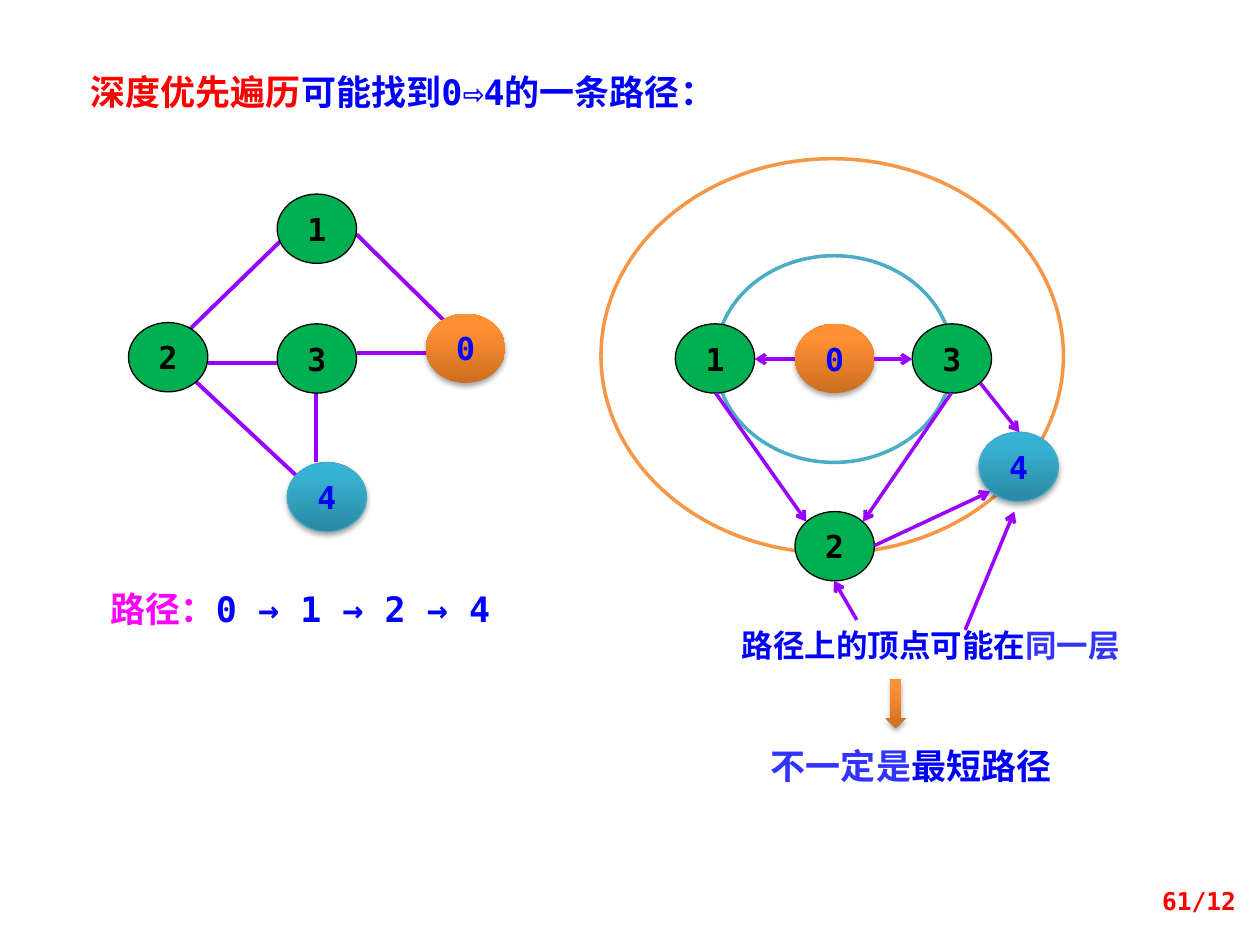
import copy
from dataclasses import dataclass

import pptx
import pptx.dml.color
import pptx.enum.shapes
import pptx.enum.text
import pptx.oxml
import pptx.oxml.ns
import pptx.util

Inches = pptx.util.Inches
Pt = pptx.util.Pt
SHAPE = pptx.enum.shapes.MSO_SHAPE
ALIGN = pptx.enum.text.PP_ALIGN
ANCHOR = pptx.enum.text.MSO_ANCHOR
NODE_WIDTH, NODE_HEIGHT = 0.63, 0.55


@dataclass
class Theme:
    mono: str = "DejaVu Sans Mono"
    chinese: str = "Noto Sans CJK SC"
    conclusion: str = "Noto Sans CJK JP"
    heading_size: float = 20
    label_size: float = 18
    number_size: float = 14
    white: str = "FFFFFF"
    black: str = "000000"
    red: str = "FF0000"
    blue: str = "0000FF"
    soft_blue: str = "3333FF"
    magenta: str = "FF00FF"
    green: str = "00B050"
    edge: str = "9900FF"
    outer_ring: str = "F79646"
    inner_ring: str = "4BACC6"
    target_line: str = "46AAC5"
    orange: tuple = ("CC6E20", "FF9034", "FF9136")
    teal: tuple = ("2A88A2", "37B1D2", "34B4D6")


def rgb(color):
    return pptx.dml.color.RGBColor.from_string(color)


def drawing_xml(body):
    return pptx.oxml.parse_xml(body.replace(">", f" {pptx.oxml.ns.nsdecls('a')}>", 1))


class SlideBuilder:
    def __init__(self, slide, theme):
        self.slide = slide
        self.theme = theme

    def set_text(self, frame, parts, size, align=ALIGN.LEFT, anchor=ANCHOR.TOP,
                 wrap=True, font=None):
        """Fill a frame with one paragraph of (text, colour) parts."""
        frame.word_wrap = wrap
        frame.auto_size = pptx.enum.text.MSO_AUTO_SIZE.NONE
        frame.vertical_anchor = anchor
        para = frame.paragraphs[0]
        para.alignment = align
        for text, color in parts:
            span = para.add_run()
            span.text = text
            span.font.size = Pt(size)
            span.font.bold = True
            span.font.name = font or self.theme.mono
            span.font.color.rgb = rgb(color)
            latin = span.font._element.find(pptx.oxml.ns.qn("a:latin"))
            latin.addnext(drawing_xml(f'<a:ea typeface="{self.theme.chinese}"></a:ea>'))

    def title(self, left, top, width, height, parts):
        box = self.slide.shapes.title
        box.left, box.top = Inches(left), Inches(top)
        box.width, box.height = Inches(width), Inches(height)
        self.set_text(box.text_frame, parts, self.theme.heading_size)

    def text(self, left, top, width, height, parts, size, **style):
        box = self.slide.shapes.add_textbox(
            Inches(left), Inches(top), Inches(width), Inches(height))
        self.set_text(box.text_frame, parts, size, **style)

    def shape(self, kind, left, top, width, height, fill, line=None, weight=0.75):
        """Add a flat shape, or a raised one when fill is a tuple of shades."""
        shape = self.slide.shapes.add_shape(
            kind, Inches(left), Inches(top), Inches(width), Inches(height))
        shape.shadow.inherit = False
        if isinstance(fill, tuple):
            self.raise_shape(shape, fill)
        else:
            shape.fill.solid()
            shape.fill.fore_color.rgb = rgb(fill)
        if line:
            shape.line.color.rgb = rgb(line)
            shape.line.width = Pt(weight)
        else:
            shape.line.fill.background()
        return shape

    def raise_shape(self, shape, shades):
        shape.fill.gradient()
        shape.fill.gradient_angle = 90
        stop_list = shape._element.spPr.find(".//" + pptx.oxml.ns.qn("a:gsLst"))
        stop_list.append(copy.deepcopy(stop_list[-1]))
        for stop, shade, position in zip(shape.fill.gradient_stops, shades, (0, 0.8, 1)):
            stop.color.rgb = rgb(shade)
            stop.position = position
        effects = shape._element.spPr.find(pptx.oxml.ns.qn("a:effectLst"))
        effects.append(drawing_xml(
            f'<a:outerShdw blurRad="{Pt(3.1)}" dist="{Pt(1.8)}" dir="5400000" rotWithShape="0">'
            '<a:srgbClr val="000000"><a:alpha val="35000"/></a:srgbClr></a:outerShdw>'))

    def node(self, label, left, top):
        """Add a vertex; 0 is the start and 4 the target."""
        theme = self.theme
        fill, line, color = {
            "0": (theme.orange, None, theme.blue),
            "4": (theme.teal, theme.target_line, theme.blue),
        }.get(label, (theme.green, theme.black, theme.black))
        shape = self.shape(SHAPE.OVAL, left, top, NODE_WIDTH, NODE_HEIGHT, fill, line)
        self.set_text(shape.text_frame, [(label, color)], theme.label_size,
                      ALIGN.CENTER, ANCHOR.MIDDLE, wrap=False)

    def edge(self, start, end, weight=2.25, arrow=False):
        edge = self.slide.shapes.add_connector(
            pptx.enum.shapes.MSO_CONNECTOR.STRAIGHT,
            *(Inches(value) for value in (*start, *end)))
        edge.line.color.rgb = rgb(self.theme.edge)
        edge.line.width = Pt(weight)
        if arrow:
            edge.line._get_or_add_ln().append(drawing_xml('<a:tailEnd type="arrow"></a:tailEnd>'))
        edge._element.spPr.append(drawing_xml("<a:effectLst></a:effectLst>"))


def main():
    deck = pptx.Presentation()
    deck.slide_width, deck.slide_height = Inches(10), Inches(7.5)
    theme = Theme()
    page = SlideBuilder(deck.slides.add_slide(deck.slide_layouts[5]), theme)

    page.title(0.62, 0.51, 6.41, 0.44, [
        ("深度优先遍历", theme.red), ("可能找到0⇨4的一条路径：", theme.blue)])

    # Layers around the start vertex
    page.shape(SHAPE.OVAL, 4.77, 1.26, 3.67, 3.13, theme.white, theme.outer_ring, 2)
    page.shape(SHAPE.OVAL, 5.68, 2.03, 1.88, 1.64, theme.white, theme.inner_ring, 2)

    # Undirected graph: edges run beneath the vertices
    for start, end in [
        ((2.83, 1.86), (3.54, 2.56)),
        ((1.48, 2.96), (2.4, 3.82)),
        ((2.23, 1.91), (1.51, 2.61)),
        ((1.65, 2.88), (2.28, 2.88)),
        ((2.51, 3.12), (2.51, 3.67)),
        ((2.83, 2.8), (3.46, 2.8)),
    ]:
        page.edge(start, end)
    for label, left, top in [("1", 2.2, 1.54), ("3", 2.2, 2.57), ("2", 1.02, 2.56),
                             ("4", 2.28, 3.67), ("0", 3.38, 2.49)]:
        page.node(label, left, top)

    # Layered graph, with the two pointers from the remark last
    for label, left, top in [("0", 6.31, 2.57), ("1", 5.36, 2.57), ("3", 7.24, 2.57),
                             ("2", 6.31, 4.06), ("4", 7.77, 3.43)]:
        page.node(label, left, top)
    for start, end in [
        ((6.94, 2.85), (7.24, 2.85)),
        ((6.31, 2.85), (5.99, 2.85)),
        ((5.68, 3.12), (6.4, 4.14)),
        ((7.55, 3.12), (6.85, 4.14)),
        ((7.78, 3.04), (8.09, 3.43)),
        ((6.94, 4.33), (7.86, 3.9)),
        ((6.8, 4.92), (6.62, 4.61)),
        ((7.66, 5), (8.05, 4.06)),
    ]:
        page.edge(start, end, 2, arrow=True)

    # Path found, remark and conclusion
    page.text(0.78, 4.61, 4.38, 0.44, [
        ("路径：", theme.magenta), ("0 → 1 → 2 → 4", theme.blue)], theme.heading_size)
    page.text(5.08, 4.92, 4.61, 0.4, [
        ("路径上的顶点可能在", theme.blue), ("同一层", theme.soft_blue)],
        theme.label_size, align=ALIGN.CENTER, font=theme.chinese)
    page.shape(SHAPE.DOWN_ARROW, 7.03, 5.39, 0.16, 0.39, theme.orange)
    page.text(6.02, 5.86, 2.66, 0.44, [
        ("不一定是", theme.soft_blue), ("最短路径", theme.blue)],
        theme.heading_size, font=theme.conclusion)

    # Page number
    page.text(7.58, 6.95, 2.33, 0.4, [("61/12", theme.red)], theme.number_size,
              align=ALIGN.RIGHT, anchor=ANCHOR.MIDDLE)

    deck.save("out.pptx")


if __name__ == "__main__":
    main()
